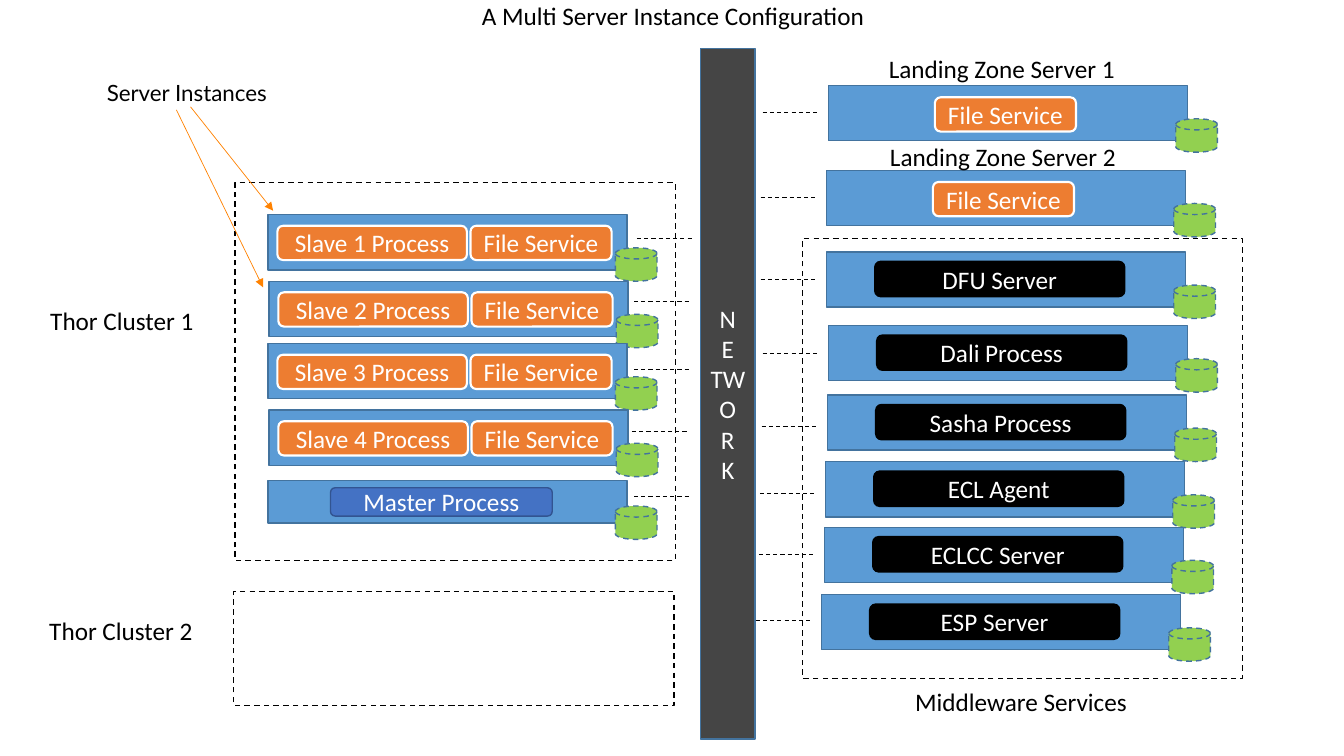
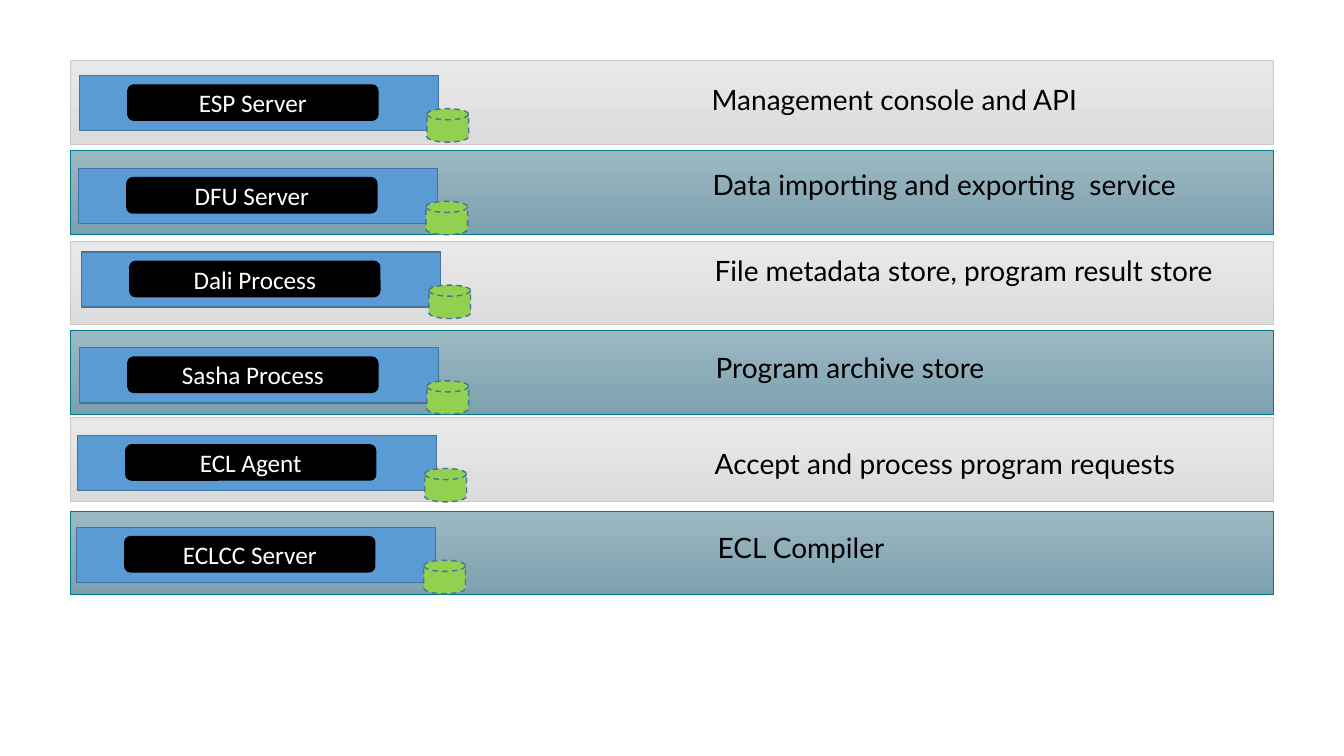
from pptx import Presentation
from pptx.dml.color import RGBColor
from pptx.enum.dml import MSO_LINE
from pptx.enum.shapes import MSO_CONNECTOR, MSO_SHAPE
from pptx.enum.text import MSO_ANCHOR, PP_ALIGN
from pptx.oxml.ns import qn
from pptx.util import Pt
from lxml.etree import SubElement

BLACK, WHITE = "000000", "FFFFFF"
BLUE, EDGE, GREEN = "5B9BD5", "43739E", "92D050"
ORANGE, ARROW = "ED7D31", "FF8200"
BODY, NOTE = "Calibri", "Lato"

STYLES = {
    "core": (BLACK, BLACK, 1),
    "work": (ORANGE, WHITE, 1.5),
    "head": ("4472C4", "325491", 1),
}
CORE = ("core", 34.4, 6.7, 178.6, 25.2)
SLAVE = ("work", 6.6, 7.9, 135.4, 24.5)
FILES = ("work", 144.6, 7.9, 100.8, 24.5)
LANDING = ("work", 76, 8.3, 100.8, 24.5)
MASTER = ("head", 44.6, 5, 158.4, 20.2)

TITLE = "A Multi Server Instance Configuration"
SLAVES = [
    ("Slave 1 Process", 191.5, 153.4, 455, 170.6),
    ("Slave 2 Process", 192.2, 200.9, 452.9, 215.3),
    ("Slave 3 Process", 191.5, 245.5, 452.9, 264.2),
    ("Slave 4 Process", 192.2, 293, 451.4, 308.2),
]
SERVERS = [
    ("File Service", LANDING, 591.8, 61.2, 80.6),
    ("File Service", LANDING, 590.4, 121.7, 141.1),
    ("DFU Server", CORE, 590.4, 180, 199.4),
    ("Dali Process", CORE, 591.8, 232.6, 252.7),
    ("Sasha Process", CORE, 591.1, 282.2, 304.6),
    ("ECL Agent", CORE, 589.7, 329.8, 352.8),
    ("ECLCC Server", CORE, 589, 376.6, 396),
    ("ESP Server", CORE, 586.8, 424.8, 443.5),
]
LABELS = [
    ("Landing Zone Server 1", 627.8, 34.6, 178),
    ("Landing Zone Server 2", 628.6, 97.2, 178),
    ("Middleware Services", 646.6, 486.7, 168),
    ("Thor Cluster 1", 28.8, 214.6, 118),
    ("Thor Cluster 2", 28.1, 435.6, 118),
]
FRAMES = [(167.8, 130.3, 270), (573.1, 170.6, 313.9), (167, 422.6, 81.4)]
ARROWS = [(136.1, 76.3, 195.1, 150.5), (126, 78.5, 187.9, 205.2)]

GREY = ("E8E9E8", "DBDCDB", "C8C9C7")
TEAL = ("9DB8C3", "7CA1AE", "00778B")
ROLES = [
    ("ESP Server", "Management console and API", 43.2, 56.9, 54, 508.3, 59),
    ("DFU Server", "Data importing and exporting  service", 107.3, 56.2, 120.2, 509, 119.5),
    ("Dali Process", "File metadata store, program result store", 172.1, 58.3, 180, 510.5, 181.4),
    ("Sasha Process", "Program archive store", 236.2, 56.9, 248.4, 511.2, 250.6),
    ("ECL Agent", "Accept and process program requests", 298.1, 55.4, 311, 510.5, 319),
    ("ECLCC Server", "ECL Compiler", 365, 54.7, 376.6, 512.6, 378.7),
]


def rgb(code):
    return RGBColor.from_string(code)


def write(frame, text, size=18, color=BLACK, font=BODY, align=PP_ALIGN.LEFT):
    frame.text = text
    for para in frame.paragraphs:
        para.alignment = align
        for run in para.runs:
            run.font.size = Pt(size)
            run.font.name = font
            run.font.color.rgb = rgb(color)


def stroke(line, color, width, dash=False):
    line.color.rgb = rgb(color)
    line.width = Pt(width)
    if dash:
        line.dash_style = MSO_LINE.DASH


def block(slide, kind, box, fill, edge, width=1, dash=False, text=None):
    shape = slide.shapes.add_shape(kind, *map(Pt, box))
    shape.shadow.inherit = False
    if fill:
        shape.fill.solid()
        shape.fill.fore_color.rgb = rgb(fill)
    else:
        shape.fill.background()
    stroke(shape.line, edge, width, dash)
    if text:
        shape.text_frame.vertical_anchor = MSO_ANCHOR.MIDDLE
        write(shape.text_frame, text, color=WHITE, align=PP_ALIGN.CENTER)
    return shape


def label(slide, text, x, y, width, size=18, font=BODY, inset=True):
    frame = slide.shapes.add_textbox(Pt(x), Pt(y), Pt(width), Pt(29)).text_frame
    frame.word_wrap = False
    if not inset:
        frame.margin_left = frame.margin_right = 0
        frame.margin_top = frame.margin_bottom = 0
    write(frame, text, size, font=font)


def link(slide, ends, color=BLACK, width=0.75, arrow=False):
    line = slide.shapes.add_connector(MSO_CONNECTOR.STRAIGHT, *map(Pt, ends))
    stroke(line.line, color, width, not arrow)
    props = line._element.spPr
    if arrow:
        SubElement(props.find(qn("a:ln")), qn("a:tailEnd"), type="triangle")
    SubElement(props, qn("a:effectLst"))


def server(slide, x, y, parts, high=39.4, drop=23.6):
    block(slide, MSO_SHAPE.RECTANGLE, (x, y, 256.3, high), BLUE, EDGE)
    for text, (style, dx, dy, width, tall) in parts:
        fill, edge, line = STYLES[style]
        box = (x + dx, y + dy, width, tall)
        block(slide, MSO_SHAPE.ROUNDED_RECTANGLE, box, fill, edge, line, text=text)
    disk = (x + 248, y + drop, 29.8, 23.9)
    block(slide, MSO_SHAPE.FLOWCHART_MAGNETIC_DISK, disk, GREEN, EDGE, dash=True)


def layout(deck):
    slide = deck.slides.add_slide(deck.slide_layouts[5])
    title = slide.shapes.title
    title.left, title.top, title.width, title.height = map(Pt, (337, 0, 291, 25))
    frame = title.text_frame
    frame.word_wrap = False
    frame.margin_top = 0
    frame.vertical_anchor = MSO_ANCHOR.TOP
    write(frame, TITLE)

    block(slide, MSO_SHAPE.RECTANGLE, (500.4, 34.6, 39, 493.2), "454545", EDGE,
          text="N\nE\nTWO\nR\nK")
    for name, x, y, start, level in SLAVES:
        server(slide, x, y, [(name, SLAVE), ("File Service", FILES)])
        link(slide, (start, level, start + 39.6, level))
    server(slide, 191.5, 343.4, [("Master Process", MASTER)], 30.2, 18)
    link(slide, (452.9, 355, 492.5, 355))
    for name, part, x, y, level in SERVERS:
        server(slide, x, y, [(name, part)])
        link(slide, (x - 47, level, x - 7.4, level))
    for x, y, high in FRAMES:
        block(slide, MSO_SHAPE.RECTANGLE, (x, y, 314.6, high), None, BLACK, dash=True)
    for item in LABELS:
        label(slide, *item)
    label(slide, "Server Instances", 76.3, 56.2, 120, 16, NOTE, False)
    for ends in ARROWS:
        link(slide, ends, ARROW, 0.5, True)


def roles(deck):
    slide = deck.slides.add_slide(deck.slide_layouts[6])
    for row, (name, text, top, x, y, left, level) in enumerate(ROLES):
        first, last, edge = TEAL if row % 2 else GREY
        band = block(slide, MSO_SHAPE.RECTANGLE, (50.4, top, 859, 59.8), first, edge, 0.5)
        band.fill.gradient()
        band.fill.gradient_angle = 270
        for stop, color in zip(band.fill.gradient_stops, (first, last)):
            stop.color.rgb = rgb(color)
        server(slide, x, y, [(name, CORE)])
        label(slide, text, left, level, 390, 20, NOTE, False)


def main():
    deck = Presentation()
    deck.slide_width, deck.slide_height = Pt(960), Pt(540)
    layout(deck)
    roles(deck)
    deck.save("out.pptx")


if __name__ == "__main__":
    main()
